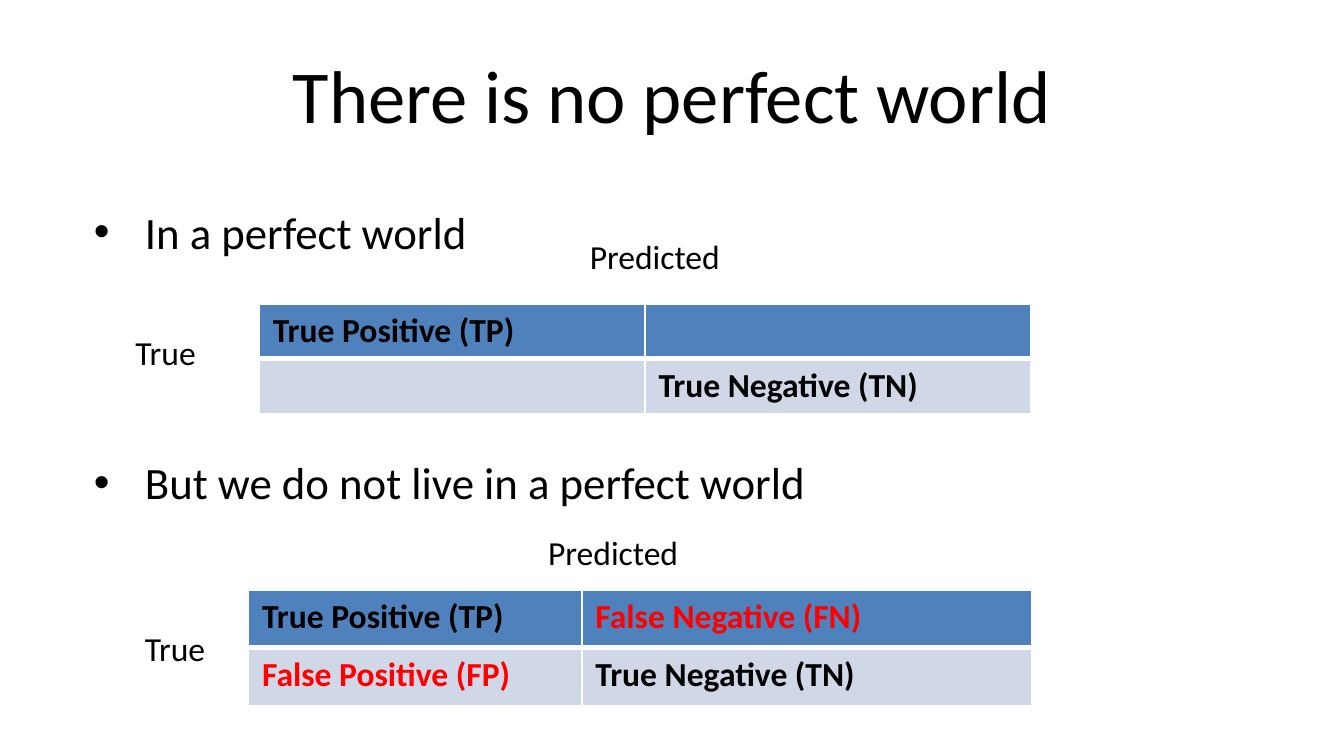
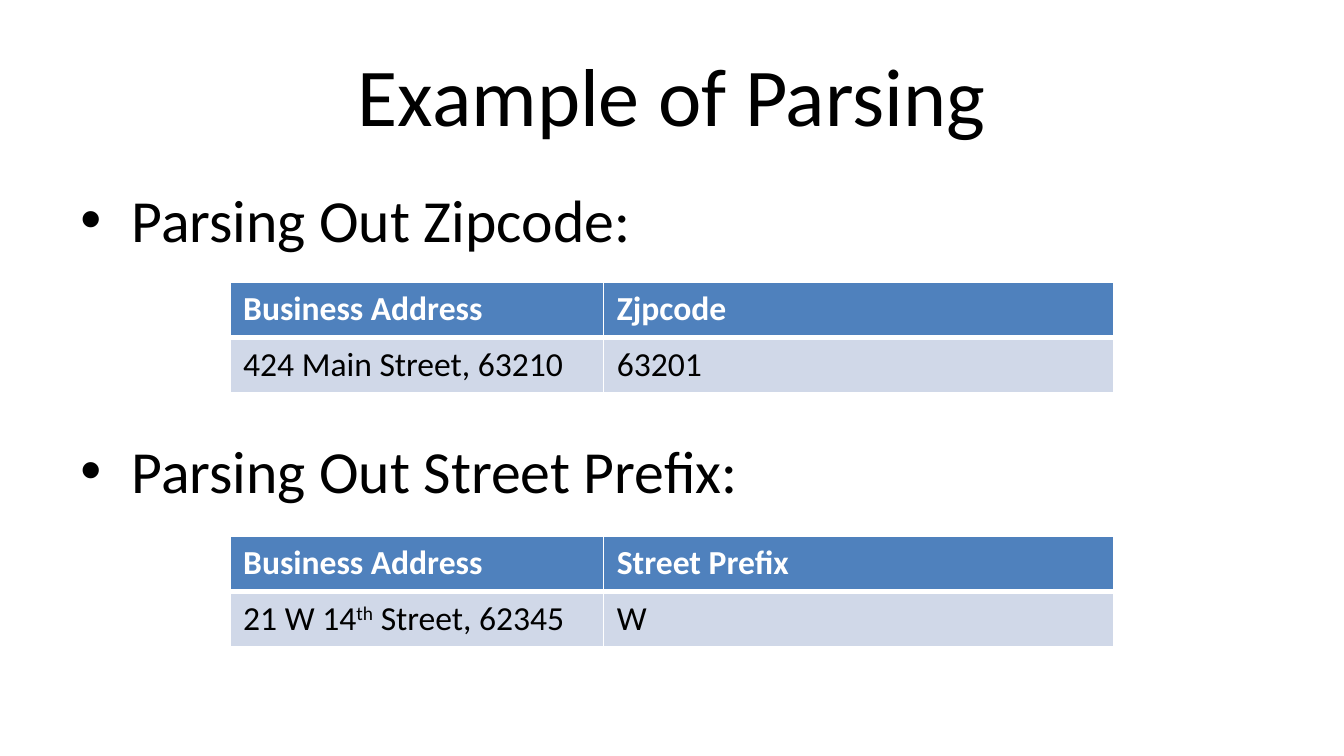
from lxml import etree
from pptx import Presentation
from pptx.dml.color import RGBColor
from pptx.enum.text import MSO_ANCHOR, MSO_AUTO_SIZE, PP_ALIGN
from pptx.oxml.ns import qn
from pptx.util import Inches, Pt

LEFT, CENTER = PP_ALIGN.LEFT, PP_ALIGN.CENTER
MIDDLE = MSO_ANCHOR.MIDDLE
FIT_SHAPE, NO_FIT = MSO_AUTO_SIZE.SHAPE_TO_FIT_TEXT, MSO_AUTO_SIZE.NONE

BLACK = RGBColor(0x00, 0x00, 0x00)
WHITE = RGBColor(0xFF, 0xFF, 0xFF)
RED = RGBColor(0xFF, 0x00, 0x00)
HEADER_BLUE = RGBColor(0x4F, 0x81, 0xBD)
ROW_BLUE = RGBColor(0xD0, 0xD8, 0xE8)

FONT = "Calibri"
TITLE_ONLY = 5
SLIDE_WIDTH = Inches(10)
SLIDE_HEIGHT = SLIDE_WIDTH * 9 // 16
BULLET_INDENT = Inches(0.38)


def write(paragraph, text, size=18, color=BLACK, bold=False, align=LEFT):
    paragraph.alignment = align
    for position, part in enumerate(text.split("^")):
        run = paragraph.add_run()
        run.text = part
        run.font.name = FONT
        run.font.size = Pt(size)
        run.font.bold = bold
        run.font.color.rgb = color
        if position % 2:
            run._r.get_or_add_rPr().set("baseline", "30000")


def add_titled_slide(deck, title, size):
    slide = deck.slides.add_slide(deck.slide_layouts[TITLE_ONLY])
    heading = slide.shapes.title
    heading.left, heading.top = Inches(0.5), Inches(0.23)
    heading.width, heading.height = Inches(9), Inches(0.94)
    frame = heading.text_frame
    frame.vertical_anchor = MIDDLE
    frame.auto_size = NO_FIT
    write(frame.paragraphs[0], title, size=size, align=CENTER)
    return slide


def add_box(slide, left, top, width, height):
    box = slide.shapes.add_textbox(
        Inches(left), Inches(top), Inches(width), Inches(height))
    return box.text_frame


def add_bullets(slide, place, items, size, gap):
    frame = add_box(slide, *place)
    frame.word_wrap = True
    for index, item in enumerate(items):
        paragraph = frame.add_paragraph() if index else frame.paragraphs[0]
        properties = paragraph._p.get_or_add_pPr()
        properties.set("marL", str(BULLET_INDENT))
        properties.set("indent", str(-BULLET_INDENT))
        etree.SubElement(properties, qn("a:buFont"), typeface="Arial")
        etree.SubElement(properties, qn("a:buChar"), char="•")
        paragraph.space_before = Pt(gap if index else 0)
        write(paragraph, item, size=size)


def add_label(slide, text, left, top, width):
    frame = add_box(slide, left, top, width, 0.4)
    frame.word_wrap = False
    frame.auto_size = FIT_SHAPE
    write(frame.paragraphs[0], text)


def set_borders(cell, heavy_side):
    properties = cell._tc.get_or_add_tcPr()
    for side in ("lnL", "lnR", "lnT", "lnB"):
        width = Pt(3 if side == heavy_side else 1)
        line = etree.SubElement(properties, qn(f"a:{side}"), w=str(width))
        fill = etree.SubElement(line, qn("a:solidFill"))
        etree.SubElement(fill, qn("a:srgbClr"), val=str(WHITE))


def add_grid(slide, left, top, widths, row_height, rows, cell_format):
    grid = slide.shapes.add_table(
        len(rows), len(widths), Inches(left), Inches(top),
        Inches(sum(widths)), Inches(row_height * len(rows))).table
    for column, width in zip(grid.columns, widths):
        column.width = Inches(width)
    for r, row in enumerate(rows):
        grid.rows[r].height = Inches(row_height)
        for c, text in enumerate(row):
            cell = grid.cell(r, c)
            set_borders(cell, "lnT" if r else "lnB")
            cell.fill.solid()
            cell.fill.fore_color.rgb = ROW_BLUE if r else HEADER_BLUE
            if text:
                write(cell.text_frame.paragraphs[0], text,
                      **cell_format(r, text))


def outcome_format(row, text):
    return {"bold": True, "color": RED if text.startswith("False") else BLACK}


def address_format(row, text):
    return {"bold": row == 0, "color": BLACK if row else WHITE}


def build_perfect_world(deck):
    slide = add_titled_slide(deck, "There is no perfect world", 40)
    add_grid(slide, 1.85, 4.39, (2.48, 3.35), 0.43,
             [("True Positive (TP)", "False Negative (FN)"),
              ("False Positive (FP)", "True Negative (TN)")], outcome_format)
    add_bullets(slide, (0.6, 1.47, 8.22, 3.62),
                ["In a perfect world", "But we do not live in a perfect world"],
                size=24, gap=105.5)
    add_grid(slide, 1.93, 2.26, (2.87, 2.87), 0.41,
             [("True Positive (TP)", ""), ("", "True Negative (TN)")],
             outcome_format)
    for text, left, top, width in [("Predicted", 4.29, 1.71, 1.19),
                                   ("True", 0.91, 2.42, 0.67),
                                   ("True", 0.98, 4.62, 0.67),
                                   ("Predicted", 3.98, 3.91, 1.19)]:
        add_label(slide, text, left, top, width)


def build_parsing(deck):
    slide = add_titled_slide(deck, "Example of Parsing", 44)
    add_bullets(slide, (0.5, 1.31, 9, 4.02),
                ["Parsing Out Zipcode:", "Parsing Out Street Prefix:"],
                size=32, gap=96)
    for top, result, address, value in [
            (2.1, "Zjpcode", "424 Main Street, 63210", "63201"),
            (3.99, "Street Prefix", "21 W 14^th^ Street, 62345", "W")]:
        add_grid(slide, 1.71, top, (2.78, 3.8), 0.41,
                 [("Business Address", result), (address, value)],
                 address_format)


def main():
    deck = Presentation()
    deck.slide_width, deck.slide_height = SLIDE_WIDTH, SLIDE_HEIGHT
    build_perfect_world(deck)
    build_parsing(deck)
    deck.save("out.pptx")


if __name__ == "__main__":
    main()
